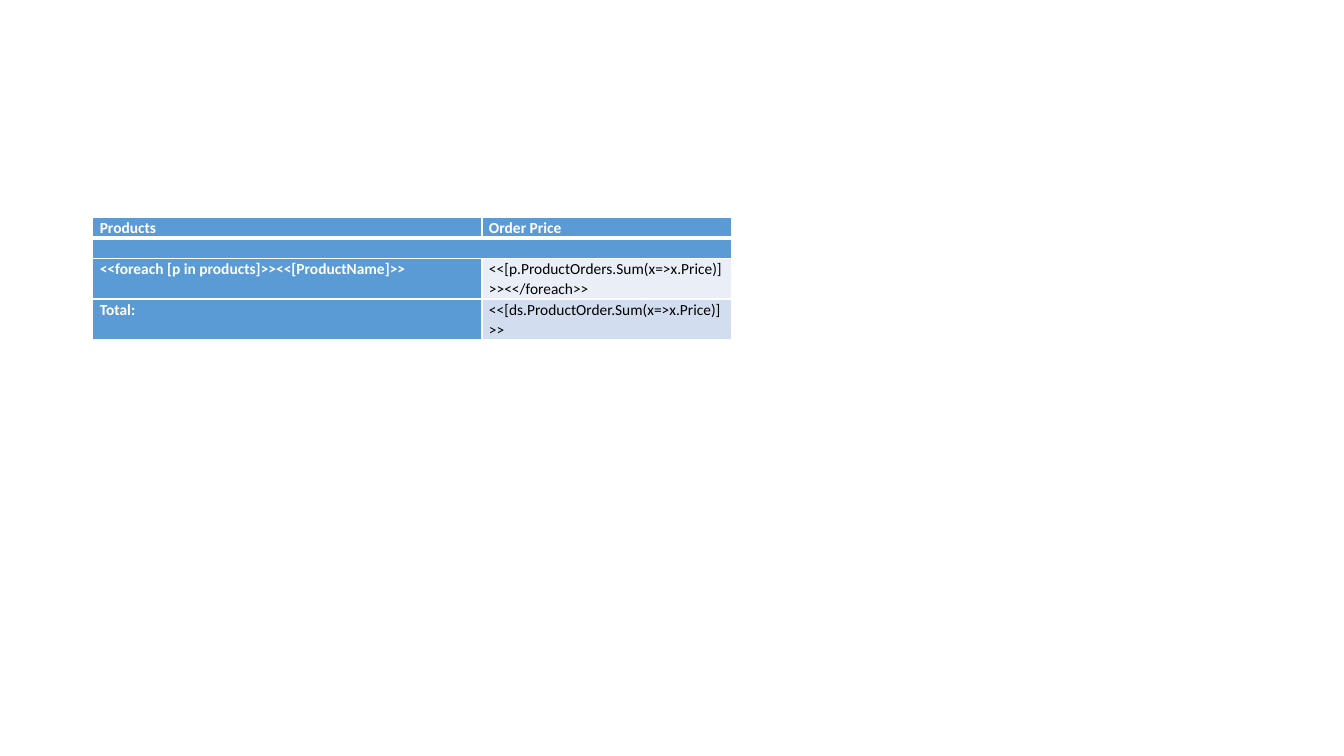
"""Build a slide with a product order price template table."""
import lxml.etree
import pptx
import pptx.dml.color
import pptx.oxml.ns
import pptx.util

Inches, Pt = pptx.util.Inches, pptx.util.Pt
qn = pptx.oxml.ns.qn

ORDERS = [
    ("Products", "Order Price"),
    ("", ""),
    ("<<foreach [p in products]>><<[ProductName]>>",
     "<<[p.ProductOrders.Sum(x=>x.Price)]>><</foreach>>"),
    ("Total:", "<<[ds.ProductOrder.Sum(x=>x.Price)]>>"),
]
COLUMN_WIDTHS = (3.86, 2.48)
ROW_HEIGHTS = (0.2, 0.2, 0.4, 0.4)
TABLE_LEFT, TABLE_TOP = 0.92, 2.16
DIVIDER_ROW = 1
THEME = {
    "font": "Calibri", "size": 11, "spacing": 1.07, "inset": 0.07,
    "heading": "5B9BD5", "bands": ("EAEFF7", "D2DEEF"),
    "light": "FFFFFF", "dark": "000000", "rule": 1, "header_rule": 3,
}


def rgb(value):
    return pptx.dml.color.RGBColor.from_string(value)


def draw_borders(cell, row):
    properties = cell._tc.get_or_add_tcPr()
    for side in "LRTB":
        below_header = (row, side) in ((0, "B"), (DIVIDER_ROW, "T"))
        width = THEME["header_rule" if below_header else "rule"]
        border = lxml.etree.SubElement(properties, qn("a:ln" + side), w=str(Pt(width)))
        fill = lxml.etree.SubElement(border, qn("a:solidFill"))
        lxml.etree.SubElement(fill, qn("a:srgbClr"), val=THEME["light"])


def fill_cell(cell, text, row, column):
    is_heading = row <= DIVIDER_ROW or column == 0
    draw_borders(cell, row)
    cell.fill.solid()
    cell.fill.fore_color.rgb = rgb(
        THEME["heading"] if is_heading else THEME["bands"][row % 2])
    cell.margin_left = cell.margin_right = Inches(THEME["inset"])
    cell.margin_top = cell.margin_bottom = 0
    paragraph = cell.text_frame.paragraphs[0]
    paragraph.line_spacing = THEME["spacing"]
    if not text:
        lxml.etree.SubElement(paragraph._p, qn("a:endParaRPr"),
                              sz=str(THEME["size"] * 100))
        return
    label = paragraph.add_run()
    label.text = text
    label.font.name = THEME["font"]
    label.font.size = Pt(THEME["size"])
    label.font.bold = is_heading
    label.font.color.rgb = rgb(THEME["light" if is_heading else "dark"])


deck = pptx.Presentation()
deck.slide_width, deck.slide_height = Inches(13.33), Inches(7.5)
slide = deck.slides.add_slide(deck.slide_layouts[6])

orders = slide.shapes.add_table(
    len(ORDERS), len(COLUMN_WIDTHS), Inches(TABLE_LEFT), Inches(TABLE_TOP),
    Inches(sum(COLUMN_WIDTHS)), Inches(sum(ROW_HEIGHTS))).table
for column, width in zip(orders.columns, COLUMN_WIDTHS):
    column.width = Inches(width)
for row, height in zip(orders.rows, ROW_HEIGHTS):
    row.height = Inches(height)
for row, texts in enumerate(ORDERS):
    for column, text in enumerate(texts):
        fill_cell(orders.cell(row, column), text, row, column)
orders.cell(DIVIDER_ROW, 0).merge(orders.cell(DIVIDER_ROW, 1))

deck.save("out.pptx")
